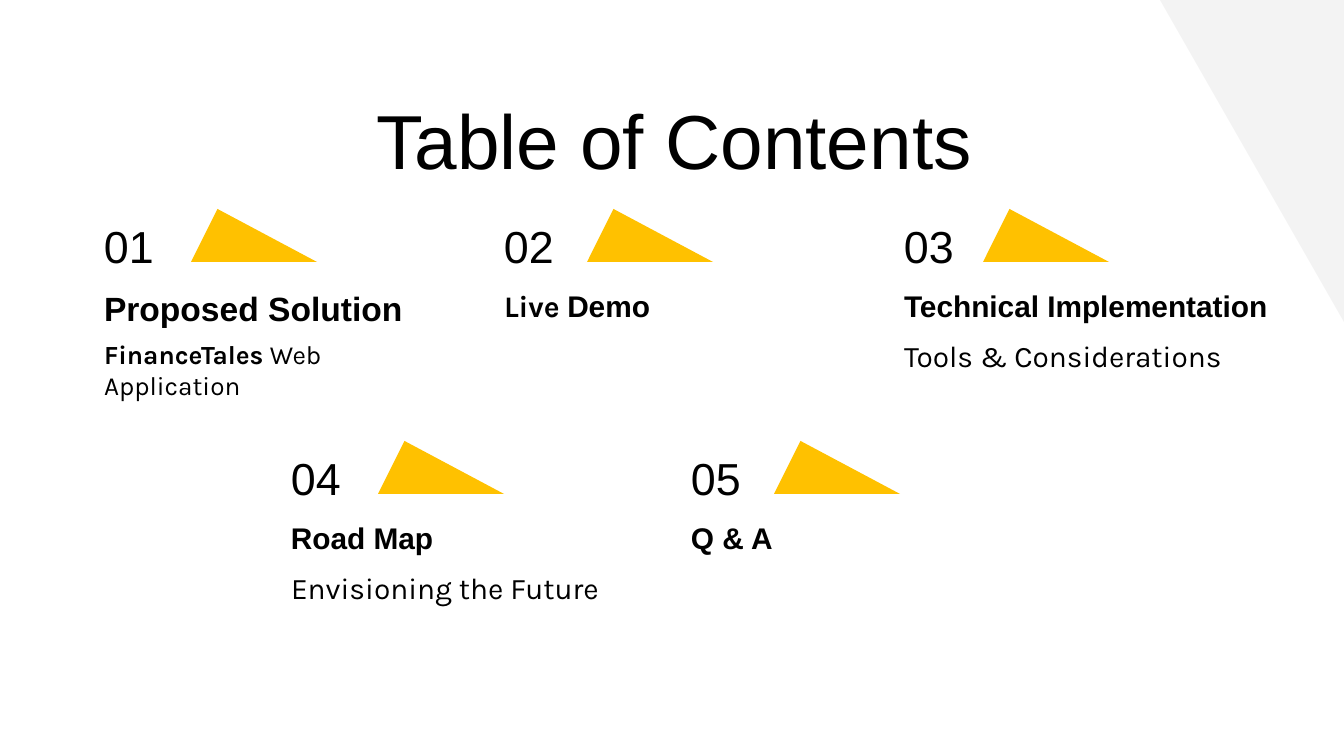
from dataclasses import dataclass

from pptx import Presentation
from pptx.dml.color import RGBColor
from pptx.enum.shapes import MSO_SHAPE
from pptx.enum.text import MSO_ANCHOR, MSO_AUTO_SIZE, PP_ALIGN
from pptx.util import Emu, Pt


@dataclass(frozen=True)
class Theme:
    """Colours, fonts and type sizes of the slide."""

    ink: RGBColor = RGBColor(0x00, 0x00, 0x00)
    paper: RGBColor = RGBColor(0xFF, 0xFF, 0xFF)
    accent: RGBColor = RGBColor(0xFF, 0xC1, 0x00)
    corner: RGBColor = RGBColor(0xF3, 0xF3, 0xF3)
    heading_font: str = "Arial"
    body_font: str = "Karla"
    title_size: int = 41
    number_size: int = 24
    large_size: int = 18
    normal_size: int = 16
    small_size: int = 14


@dataclass(frozen=True)
class Span:
    """A piece of text in one format."""

    text: str
    size: int
    font: str
    bold: bool = False


@dataclass(frozen=True)
class Entry:
    """One item of the contents list."""

    heading: tuple
    heading_width: int
    caption: tuple = ()


THEME = Theme()
PX = 914400 / 134.4
ROW_TOP, ROW_STEP = 219, 232
COLUMN_STEP, MARKER_STEP = 400, 396
LINE_HEIGHT = 53
INSET = 13


def px(length):
    """Turn a length in px into EMU."""
    return Emu(round(length * PX))


def fill_text(shape, spans, anchor=MSO_ANCHOR.TOP, align=PP_ALIGN.LEFT, inset_top=INSET, space_after=0):
    """Write one paragraph of spans into a shape."""
    frame = shape.text_frame
    frame.word_wrap = True
    frame.auto_size = MSO_AUTO_SIZE.NONE
    frame.vertical_anchor = anchor
    frame.margin_left = frame.margin_right = frame.margin_bottom = px(INSET)
    frame.margin_top = px(inset_top)
    paragraph = frame.paragraphs[0]
    paragraph.alignment = align
    paragraph.space_after = Pt(space_after)
    for span in spans:
        run = paragraph.add_run()
        run.text = span.text
        run.font.name = span.font
        run.font.size = Pt(span.size)
        run.font.bold = span.bold
        run.font.color.rgb = THEME.ink


def add_text(slide, left, top, width, spans, **options):
    """Add a one-line text box."""
    box = slide.shapes.add_textbox(px(left), px(top), px(width), px(LINE_HEIGHT))
    fill_text(box, spans, **options)


def add_triangle(slide, kind, left, top, width, height, color):
    """Add a plain filled triangle."""
    shape = slide.shapes.add_shape(kind, px(left), px(top), px(width), px(height))
    shape.shadow.inherit = False
    shape.fill.solid()
    shape.fill.fore_color.rgb = color
    shape.line.fill.background()
    return shape


def set_title(slide, text):
    """Place and format the slide title."""
    title = slide.shapes.title
    title.left, title.top, title.width, title.height = px(79), px(73), px(1191), px(85)
    spans = [Span(text, THEME.title_size, THEME.heading_font)]
    fill_text(title, spans, align=PP_ALIGN.CENTER, inset_top=20)


def add_entry(slide, number, entry, row_left, column, top):
    """Add an item with its number, marker, heading and caption."""
    left = row_left + column * COLUMN_STEP
    marker_left = row_left + 100 + column * MARKER_STEP
    marker = add_triangle(slide, MSO_SHAPE.ISOSCELES_TRIANGLE, marker_left, top - 10, 126, LINE_HEIGHT, THEME.accent)
    marker.adjustments[0] = 0.21
    number_span = Span(f"{number:02d}", THEME.number_size, THEME.heading_font)
    add_text(slide, left, top, 158, [number_span], anchor=MSO_ANCHOR.MIDDLE)
    add_text(slide, left, top + LINE_HEIGHT, entry.heading_width, entry.heading, inset_top=16, space_after=16)
    if entry.caption:
        add_text(slide, left, top + 2 * LINE_HEIGHT, 382, entry.caption)


def heading(text, size=THEME.normal_size, font=THEME.heading_font):
    """Make a bold heading span."""
    return Span(text, size, font, True)


def caption(text, size=THEME.normal_size, bold=False):
    """Make a caption span."""
    return Span(text, size, THEME.body_font, bold)


def main():
    """Build the contents slide."""
    rows = [
        (91, [
            Entry(
                (heading("Proposed Solution", THEME.large_size),), 351,
                (caption("FinanceTales", THEME.small_size, True), caption(" Web Application", THEME.small_size)),
            ),
            Entry((heading("Live ", font=THEME.body_font), heading("Demo")), 317),
            Entry((heading("Technical Implementation"),), 413, (caption("Tools & Considerations"),)),
        ]),
        (278, [
            Entry((heading("Road Map"),), 314, (caption("Envisioning the Future"),)),
            Entry((heading("Q & A"),), 317),
        ]),
    ]
    presentation = Presentation()
    presentation.slide_width, presentation.slide_height = px(1344), px(756)
    slide = presentation.slides.add_slide(presentation.slide_layouts[5])
    slide.background.fill.solid()
    slide.background.fill.fore_color.rgb = THEME.paper
    corner = add_triangle(slide, MSO_SHAPE.RIGHT_TRIANGLE, 1160, 0, 184, 322, THEME.corner)
    corner.rotation = 180
    set_title(slide, "Table of Contents")
    number = 1
    for row, (row_left, entries) in enumerate(rows):
        for column, entry in enumerate(entries):
            add_entry(slide, number, entry, row_left, column, ROW_TOP + row * ROW_STEP)
            number += 1
    presentation.save("out.pptx")


if __name__ == "__main__":
    main()
